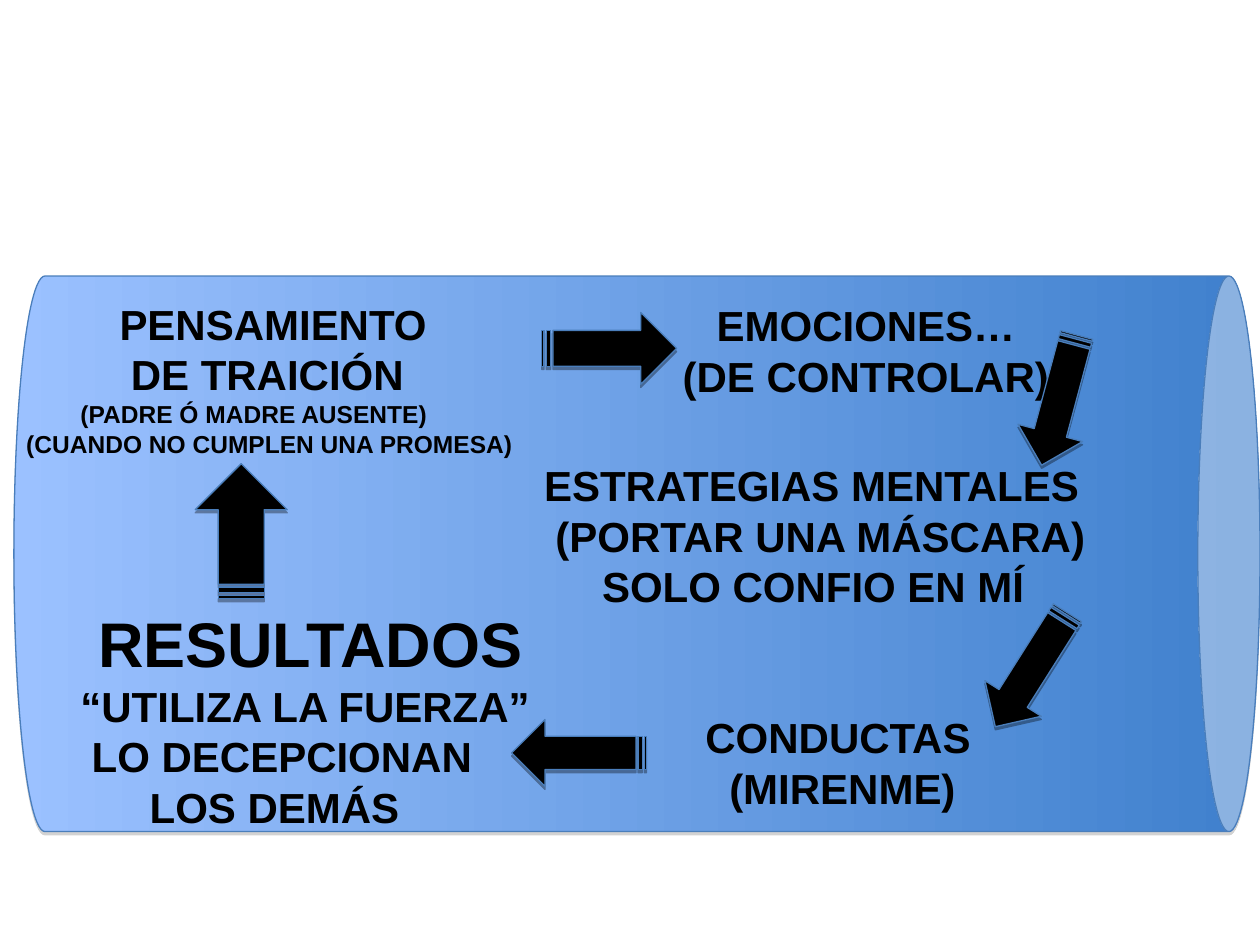
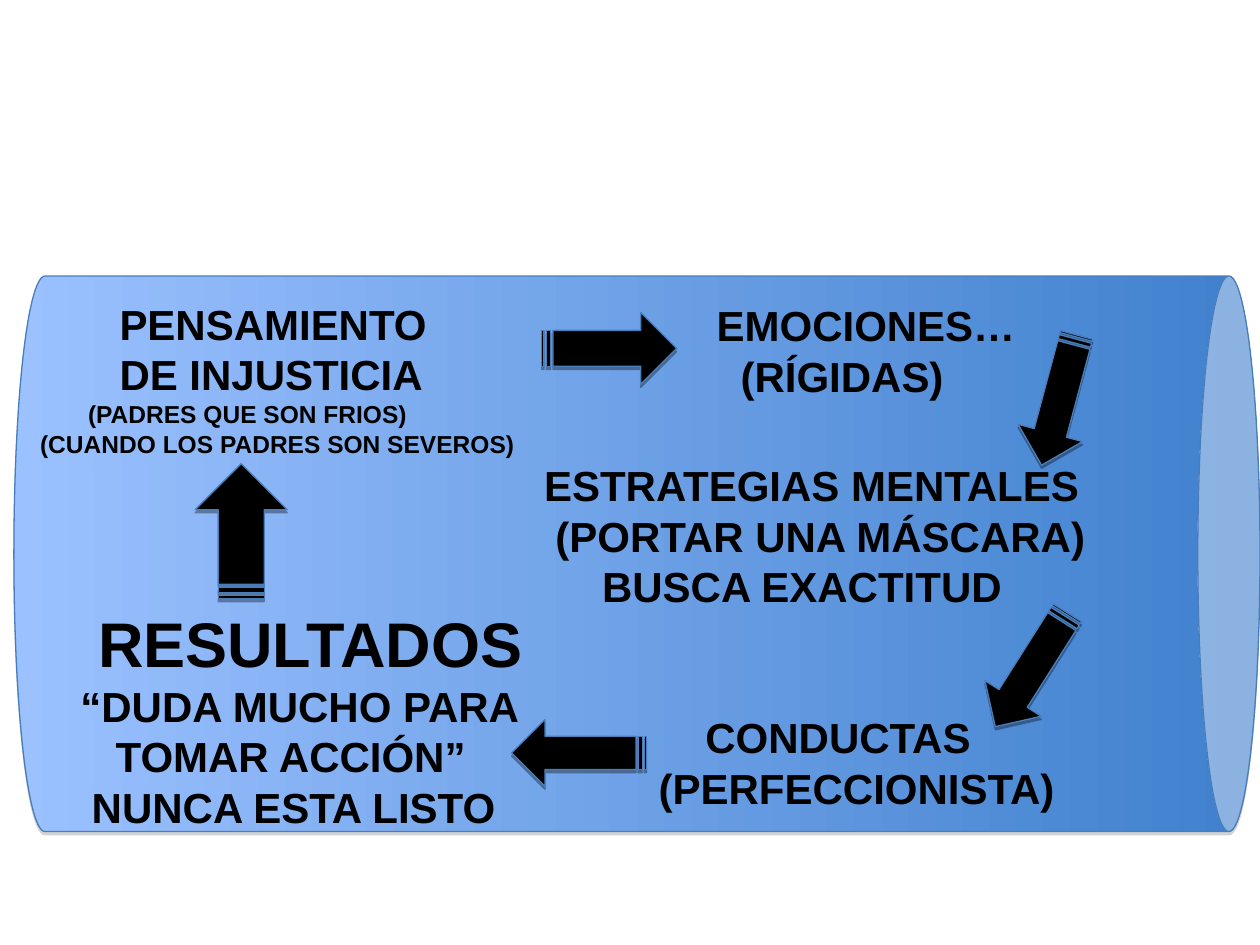
"""Build two slides showing how a thought of betrayal or injustice feeds its own cycle."""
import pptx
import pptx.dml.color
import pptx.enum.shapes
import pptx.util
from lxml import etree
from pptx.util import Inches

BLACK = pptx.dml.color.RGBColor(0x00, 0x00, 0x00)
SKY = pptx.dml.color.RGBColor(0x9B, 0xC1, 0xFF)
OCEAN = pptx.dml.color.RGBColor(0x3F, 0x80, 0xCD)
OUTLINE = pptx.dml.color.RGBColor(0x4A, 0x7E, 0xBB)
DRAWING_NS = "http://schemas.openxmlformats.org/drawingml/2006/main"
PRESETS = pptx.enum.shapes.MSO_SHAPE

STAGE_BOXES = {
    "thought": (0.11, 2.32, 4.39, 1.37),
    "emotions": (5.13, 2.33, 3.46, 0.9),
    "strategies": (4.22, 3.6, 4.53, 1.7),
    "conducts": (5.13, 5.6, 4.87, 1.3),
    "results": (0.26, 4.75, 5.23, 2.7),
}
CYCLE_ARROWS = [
    (4.3, 2.48, 1.07, 0.57, 0),
    (7.87, 2.91, 1.07, 0.53, 105),
    (7.65, 5.05, 1.07, 0.53, 122.3),
    (4.06, 5.71, 1.07, 0.53, 180),
    (1.38, 3.85, 1.07, 0.73, 270),
]
# Each line is (text, left indent in inches, size in points).
CYCLES = [
    {
        "thought": [
            ("PENSAMIENTO", 0.74, 24),
            ("DE TRAICIÓN", 0.83, 24),
            ("(PADRE Ó MADRE AUSENTE)", 0.43, 14),
            ("(CUANDO NO CUMPLEN UNA PROMESA)", 0, 14),
        ],
        "emotions": [("EMOCIONES…", 0.46, 24), ("(DE CONTROLAR)", 0.19, 24)],
        "strategies": [
            ("ESTRATEGIAS MENTALES", 0, 24),
            ("(PORTAR UNA MÁSCARA)", 0.09, 24),
            ("SOLO CONFIO EN MÍ", 0.46, 24),
        ],
        "conducts": [("CONDUCTAS", 0.37, 24), ("(MIRENME)", 0.56, 24)],
        "results": [
            ("RESULTADOS", 0.42, 36),
            ("“UTILIZA LA FUERZA”", 0.28, 24),
            ("LO DECEPCIONAN", 0.37, 24),
            ("LOS DEMÁS", 0.83, 24),
        ],
    },
    {
        "thought": [
            ("PENSAMIENTO", 0.74, 24),
            ("DE INJUSTICIA", 0.74, 24),
            ("(PADRES QUE SON FRIOS)", 0.49, 14),
            ("(CUANDO LOS PADRES SON SEVEROS)", 0.11, 14),
        ],
        "emotions": [("EMOCIONES…", 0.46, 24), ("(RÍGIDAS)", 0.65, 24)],
        "strategies": [
            ("ESTRATEGIAS MENTALES", 0, 24),
            ("(PORTAR UNA MÁSCARA)", 0.09, 24),
            ("BUSCA EXACTITUD", 0.46, 24),
        ],
        "conducts": [("CONDUCTAS", 0.37, 24), ("(PERFECCIONISTA)", 0, 24)],
        "results": [
            ("RESULTADOS", 0.42, 36),
            ("“DUDA MUCHO PARA", 0.28, 24),
            ("TOMAR ACCIÓN”", 0.56, 24),
            ("NUNCA ESTA LISTO", 0.37, 24),
        ],
    },
]


def add_outlined_shape(slide, preset, box, rotation, shadow_color):
    """Add a rotated preset shape with a thin outline and a soft drop shadow."""
    shape = slide.shapes.add_shape(preset, *map(Inches, box))
    shape.rotation = rotation
    shape.line.color.rgb = OUTLINE
    shape.line.width = pptx.util.Pt(0.75)
    shape.shadow.inherit = False
    effects = shape._element.spPr.find(f"{{{DRAWING_NS}}}effectLst")
    shadow = etree.SubElement(
        effects, f"{{{DRAWING_NS}}}outerShdw",
        blurRad="0", dist="23000", dir="5400000", rotWithShape="0",
    )
    color = etree.SubElement(shadow, f"{{{DRAWING_NS}}}srgbClr", val=shadow_color)
    etree.SubElement(color, f"{{{DRAWING_NS}}}alpha", val="35000")
    return shape


presentation = pptx.Presentation()
presentation.slide_width = Inches(10)
presentation.slide_height = Inches(7.5)

for cycle in CYCLES:
    slide = presentation.slides.add_slide(presentation.slide_layouts[6])

    cylinder = add_outlined_shape(slide, PRESETS.CAN, (2.85, -0.55, 4.41, 9.89), 90, "808080")
    cylinder.adjustments[0] = 0.112
    cylinder.fill.gradient()
    cylinder.fill.gradient_angle = 90
    for stop, color in zip(cylinder.fill.gradient_stops, (SKY, OCEAN)):
        stop.color.rgb = color
    for stop, position in zip(cylinder.fill.gradient_stops, (0, 1)):
        stop.position = position

    for stage, lines in cycle.items():
        stage_text = slide.shapes.add_textbox(*map(Inches, STAGE_BOXES[stage])).text_frame
        stage_text.word_wrap = True
        for number, (words, indent, size) in enumerate(lines):
            line = stage_text.add_paragraph() if number else stage_text.paragraphs[0]
            line.text = words
            line._p.get_or_add_pPr().set("marL", str(Inches(indent)))
            line.font.name = "Arial"
            line.font.size = pptx.util.Pt(size)
            line.font.bold = True
            line.font.color.rgb = BLACK

    for *box, rotation in CYCLE_ARROWS:
        arrow = add_outlined_shape(slide, PRESETS.STRIPED_RIGHT_ARROW, box, rotation, "000000")
        arrow.fill.solid()
        arrow.fill.fore_color.rgb = BLACK

presentation.save("out.pptx")
